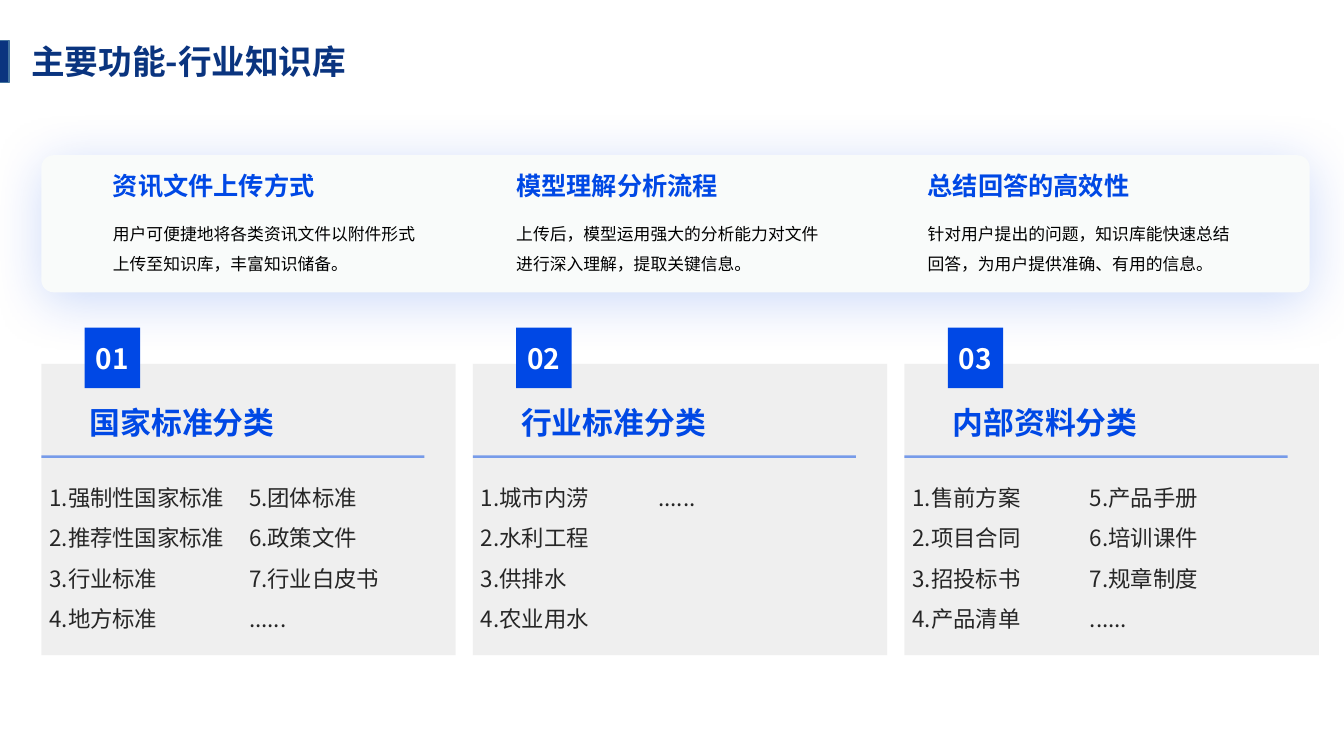
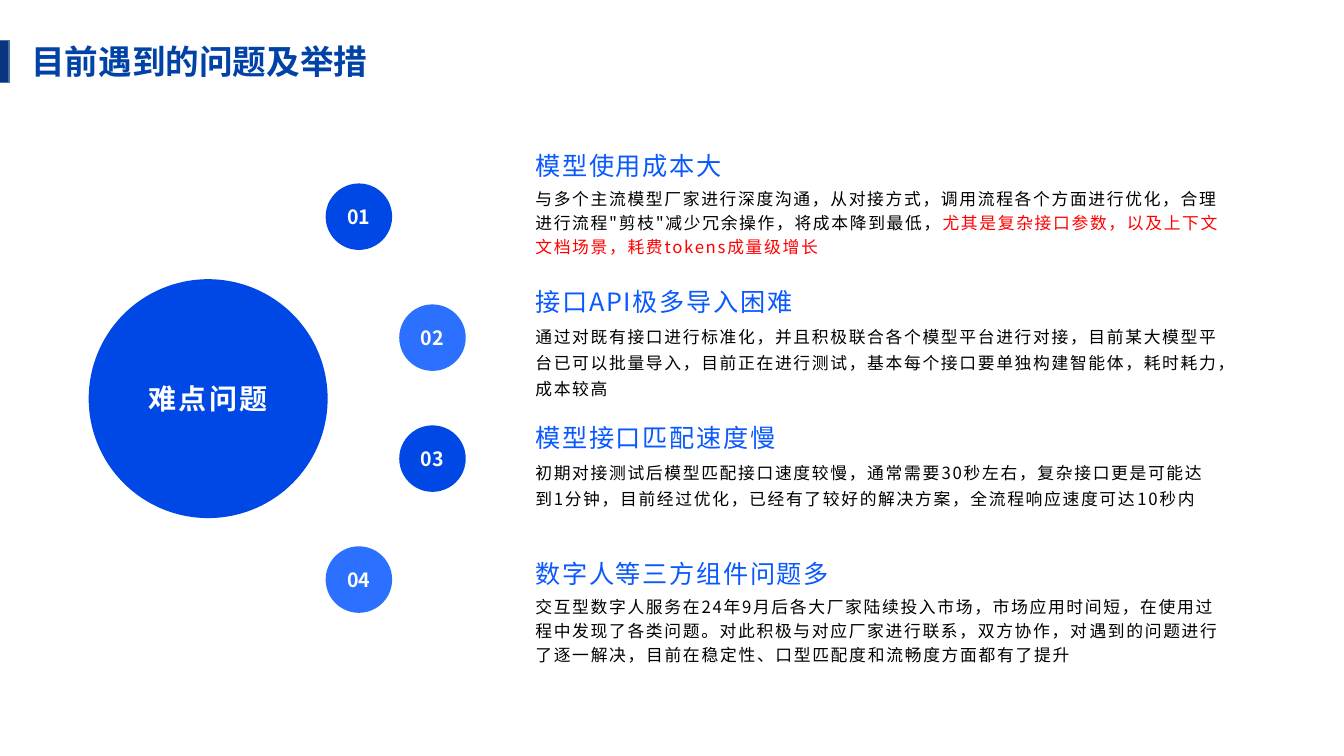
from lxml.etree import SubElement
from pptx import Presentation
from pptx.dml.color import RGBColor
from pptx.enum.shapes import MSO_CONNECTOR as Line, MSO_SHAPE as Preset
from pptx.enum.text import MSO_ANCHOR as Anchor, MSO_AUTO_SIZE as AutoSize, PP_ALIGN as Align
from pptx.oxml.ns import qn
from pptx.util import Inches, Pt

FONT = "Noto Sans CJK SC"
COLORS = {
    "navy": "0A347F", "title_top": "0042A6", "bar_edge": "43739E",
    "blue": "0048E5", "bright": "2C70FF", "heading": "0A59FF",
    "panel": "F9FBFA", "card": "999999", "list": "262626",
    "black": "000000", "white": "FFFFFF", "red": "FF0000",
}

# Text styles: font and paragraph values are set as attributes
STYLES = {
    "title": dict(font=dict(size=Pt(24), bold=True), color="navy"),
    "feature": dict(font=dict(size=Pt(18), bold=True), color="blue"),
    "feature_text": dict(font=dict(size=Pt(12)), color="black", para=dict(line_spacing=1.5)),
    "number": dict(font=dict(size=Pt(20), bold=True), color="white", para=dict(alignment=Align.CENTER)),
    "card": dict(font=dict(size=Pt(22), bold=True), color="blue"),
    "list": dict(font=dict(size=Pt(16), bold=False), color="list",
                 para=dict(line_spacing=1.5, alignment=Align.JUSTIFY)),
    "hub": dict(font=dict(size=Pt(20), bold=True), color="white", spacing=1.5,
                para=dict(alignment=Align.CENTER)),
    "dot": dict(font=dict(size=Pt(14), bold=True), color="white", para=dict(alignment=Align.CENTER)),
    "issue": dict(font=dict(size=Pt(18)), color="heading", spacing=1.2),
    "issue_text": dict(font=dict(size=Pt(12), bold=False), color="black", spacing=1.2),
}

FEATURES = [
    (1.12, "资讯文件上传方式", "用户可便捷地将各类资讯文件以附件形式上传至知识库，丰富知识储备。"),
    (5.12, "模型理解分析流程", "上传后，模型运用强大的分析能力对文件进行深入理解，提取关键信息。"),
    (9.2, "总结回答的高效性", "针对用户提出的问题，知识库能快速总结回答，为用户提供准确、有用的信息。"),
]

# Heading, first list, offset of the second list, second list
CARDS = [
    ("国家标准分类", ["1.强制性国家标准", "2.推荐性国家标准", "3.行业标准", "4.地方标准"],
     2.06, ["5.团体标准", "6.政策文件", "7.行业白皮书", "......"]),
    ("行业标准分类", ["1.城市内涝", "2.水利工程", "3.供排水", "4.农业用水"],
     1.84, ["......"]),
    ("内部资料分类", ["1.售前方案", "2.项目合同", "3.招投标书", "4.产品清单"],
     1.84, ["5.产品手册", "6.培训课件", "7.规章制度", "......"]),
]

# Heading, line spacing, text, red ending
ISSUES = [
    ("模型使用成本大", 1.2,
     "与多个主流模型厂家进行深度沟通，从对接方式，调用流程各个方面进行优化，合理进行流程\"剪枝\"减少冗余操作，将成本降到最低，",
     "尤其是复杂接口参数，以及上下文文档场景，耗费tokens成量级增长"),
    ("接口API极多导入困难", 1.3,
     "通过对既有接口进行标准化，并且积极联合各个模型平台进行对接，目前某大模型平台已可以批量导入，目前正在进行测试，基本每个接口要单独构建智能体，耗时耗力，成本较高",
     ""),
    ("模型接口匹配速度慢", 1.3,
     "初期对接测试后模型匹配接口速度较慢，通常需要30秒左右，复杂接口更是可能达到1分钟，目前经过优化，已经有了较好的解决方案，全流程响应速度可达10秒内",
     ""),
    ("数字人等三方组件问题多", 1.2,
     "交互型数字人服务在24年9月后各大厂家陆续投入市场，市场应用时间短，在使用过程中发现了各类问题。对此积极与对应厂家进行联系，双方协作，对遇到的问题进行了逐一解决，目前在稳定性、口型匹配度和流畅度方面都有了提升",
     ""),
]


def rgb(name):
    return RGBColor.from_string(COLORS[name])


def set_all(target, values):
    for name, value in values.items():
        setattr(target, name, value)


def set_alpha(shape, percent):
    for color in shape._element.spPr.iter(qn("a:srgbClr")):
        SubElement(color, qn("a:alpha"), val=str(percent * 1000))


# Text

def add_span(para, text, style, color=None):
    span = para.add_run()
    span.text = text
    set_all(span.font, dict(style["font"], name=FONT))
    span.font.color.rgb = rgb(color or style["color"])
    props = span._r.get_or_add_rPr()
    SubElement(props, qn("a:ea"), typeface=FONT)
    if "spacing" in style:
        props.set("spc", str(int(style["spacing"] * 100)))
    return span


def write(box, lines, style_name, anchor=Anchor.TOP, insets=(0, 0, 0, 0), wrap=True):
    style = STYLES[style_name]
    frame = box.text_frame
    sides = ("margin_left", "margin_top", "margin_right", "margin_bottom")
    set_all(frame, dict(zip(sides, map(Inches, insets))))
    set_all(frame, dict(auto_size=AutoSize.NONE, word_wrap=wrap, vertical_anchor=anchor))
    for index, line in enumerate(lines):
        para = frame.paragraphs[0] if index == 0 else frame.add_paragraph()
        if box.is_placeholder:
            props = para._p.get_or_add_pPr()
            props.set("marL", "0")
            props.set("indent", "0")
            SubElement(props, qn("a:buNone"))
        set_all(para, dict(dict(alignment=Align.LEFT, space_before=Pt(0)), **style.get("para", {})))
        add_span(para, line, style)
    return box


def add_text(page, at, lines, style_name, **options):
    return write(page.shapes.add_textbox(*map(Inches, at)), lines, style_name, **options)


def fill_holder(page, holder, at, lines, style_name, **options):
    """Move a placeholder to the front and to its box, then write in it."""
    page.shapes._spTree.append(holder._element)
    set_all(holder, dict(zip(("left", "top", "width", "height"), map(Inches, at))))
    return write(holder, lines, style_name, **options)


# Shapes

def add_block(page, preset, at, fill):
    shape = page.shapes.add_shape(preset, *map(Inches, at))
    shape.shadow.inherit = False
    shape.fill.solid()
    shape.fill.fore_color.rgb = rgb(fill)
    shape.line.fill.background()
    return shape


def add_glow(shape):
    effects = shape._element.spPr.find(qn("a:effectLst"))
    glow = SubElement(effects, qn("a:outerShdw"), blurRad=str(Pt(40)), dist=str(Pt(6)),
                      dir="5400000", algn="t", rotWithShape="0")
    color = SubElement(glow, qn("a:srgbClr"), val=COLORS["blue"])
    SubElement(color, qn("a:alpha"), val="20000")


def add_rule(page, left, top, width):
    rule = page.shapes.add_connector(Line.STRAIGHT, *map(Inches, (left, top, left + width, top)))
    rule.line.color.rgb = rgb("blue")
    rule.line.width = Pt(1.75)
    set_alpha(rule, 50)
    SubElement(rule._element.spPr, qn("a:effectLst"))


# Shared page frame

def add_page(deck, title):
    """Return a page with its title and bar, and its body placeholders."""
    page = deck.slides.add_slide(deck.slide_layouts.get_by_name("Comparison"))
    fill_holder(page, page.shapes.title, (0.21, 0.36, 3.58, 0.5), [title], "title",
                insets=(0.1, 0.05, 0.1, 0.05))
    bar = add_block(page, Preset.RECTANGLE, (-0.01, 0.4, 0.1, 0.42), "navy")
    bar.line.color.rgb = rgb("bar_edge")
    bar.line.width = Pt(1)
    bodies = [holder for holder in page.placeholders if holder.placeholder_format.idx > 0]
    return page, bodies


# Knowledge base page

def add_feature_panel(page, left, top, width, height):
    panel = add_block(page, Preset.ROUNDED_RECTANGLE, (left, top, width, height), "panel")
    panel.adjustments[0] = 0.09
    add_glow(panel)
    for x, heading, text in FEATURES:
        add_text(page, (x, top + 0.15, 3.08, 0.3), [heading], "feature", anchor=Anchor.BOTTOM)
        add_text(page, (x, top + 0.58, 3.08, 1.05), [text], "feature_text")


def add_card(page, holder, left, top, number, card):
    heading, first, offset, second = card
    back = add_block(page, Preset.RECTANGLE, (left, top, 4.11, 2.89), "card")
    set_alpha(back, 15)
    badge = add_block(page, Preset.RECTANGLE, (left + 0.43, top - 0.36, 0.55, 0.6), "blue")
    write(badge, [f"{number:02d}"], "number", anchor=Anchor.MIDDLE, wrap=False)
    add_text(page, (left + 0.48, top + 0.37, 3.25, 0.42), [heading], "card", anchor=Anchor.MIDDLE)
    add_rule(page, left, top + 0.92, 3.8)
    fill_holder(page, holder, (left + 0.08, top + 1.06, 1.89, 1.82), first, "list")
    add_text(page, (left + offset, top + 1.06, 1.89, 1.82), second, "list")


def build_knowledge_page(deck):
    page, bodies = add_page(deck, "主要功能-行业知识库")
    add_feature_panel(page, 0.41, 1.54, 12.58, 1.36)
    for index, card in enumerate(CARDS):
        add_card(page, bodies[index], 0.41 + 4.28 * index, 3.61, index + 1, card)
    for holder in bodies[len(CARDS):]:
        holder._element.getparent().remove(holder._element)


# Issues page

def add_hub(page, left, top, size):
    hub = add_block(page, Preset.OVAL, (left, top, size, size), "blue")
    write(hub, ["难点问题"], "hub", anchor=Anchor.MIDDLE)
    for index in range(len(ISSUES)):
        x = left + (3.08 if index in (1, 2) else 2.35)
        y = top - 0.95 + 1.2 * index
        dot = add_block(page, Preset.OVAL, (x, y, 0.66, 0.66), ("blue", "bright")[index % 2])
        write(dot, [f"{index + 1:02d}"], "dot", anchor=Anchor.MIDDLE, wrap=False)


def add_issue(page, holder, left, top, issue):
    heading, spacing, text, warning = issue
    add_text(page, (left, top, 6.79, 0.45), [heading], "issue",
             anchor=Anchor.BOTTOM, insets=(0, 0, 0, 0.04))
    fill_holder(page, holder, (left, top + 0.45, 6.79, 0.89), [text], "issue_text")
    para = holder.text_frame.paragraphs[0]
    para.line_spacing = spacing
    if warning:
        add_span(para, warning, STYLES["issue_text"], "red")


def build_issues_page(deck):
    page, bodies = add_page(deck, "目前遇到的问题及举措")
    title_fill = page.shapes.title.text_frame.paragraphs[0].runs[0].font.fill
    title_fill.gradient()
    title_fill.gradient_angle = 270
    for stop, color in zip(title_fill.gradient_stops, ("title_top", "navy")):
        stop.color.rgb = rgb(color)
    add_hub(page, 0.88, 2.77, 2.37)
    for index, issue in enumerate(ISSUES):
        add_issue(page, bodies[index], 5.31, 1.38 + 1.35 * index, issue)


def main():
    deck = Presentation()
    deck.slide_width, deck.slide_height = Inches(13.33), Inches(7.5)
    build_knowledge_page(deck)
    build_issues_page(deck)
    deck.save("out.pptx")


if __name__ == "__main__":
    main()
